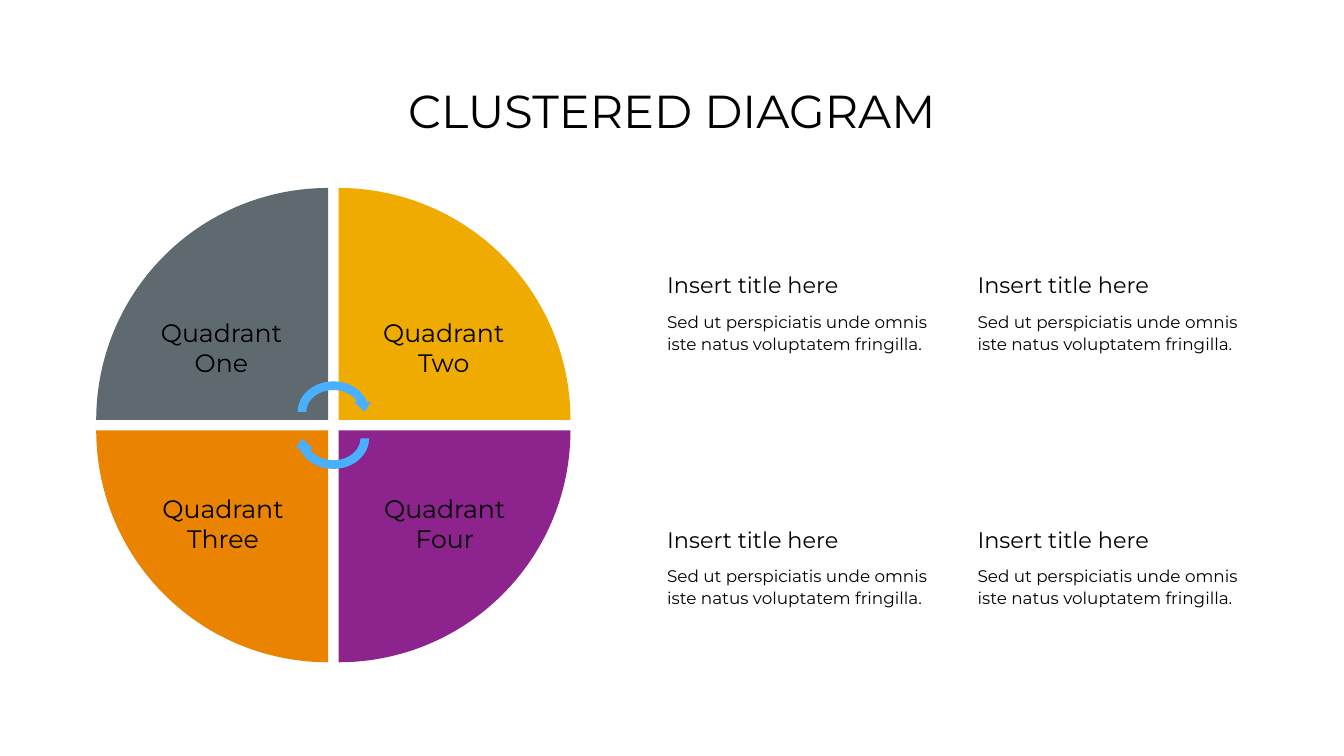
from pptx import Presentation, util as u
from pptx.dml.color import RGBColor
from pptx.enum import shapes, text

PX = 9144  # 100 px to the inch
FONT, BLACK, BLUE = "Montserrat", "000000", "49AFFF"
LEFT, CENTER = text.PP_ALIGN.LEFT, text.PP_ALIGN.CENTER
TOP, MIDDLE, BOTTOM = (text.MSO_ANCHOR.TOP, text.MSO_ANCHOR.MIDDLE,
                       text.MSO_ANCHOR.BOTTOM)

WEDGE, GAP = 460, 21
# column, row, rotation, colour, label, label offset in the wedge
QUADRANTS = [
    (0, 0, 0, "5E6970", "Quadrant\nOne", (117, 250)),
    (1, 0, 90, "F0AB00", "Quadrant\nTwo", (77, 250)),
    (1, 1, 180, "8D248D", "Quadrant\nFour", (79, 119)),
    (0, 1, 270, "E98300", "Quadrant\nThree", (120, 119)),
]
HEADING = "Insert title here"
BODY = "Sed ut perspiciatis unde omnis iste natus voluptatem fringilla."


def rgb(value):
    return RGBColor.from_string(value)


def add_filled(s, kind, x, y, w, h, color, rotation=0):
    sp = s.shapes.add_shape(kind, x * PX, y * PX, w * PX, h * PX)
    sp.rotation = rotation
    sp.shadow.inherit = False
    sp.fill.solid()
    sp.fill.fore_color.rgb = rgb(color)
    sp.line.fill.background()


def add_text(s, x, y, w, h, words, size, align=LEFT, anchor=TOP,
             spacing=1.0, wrap=True, grow=True):
    tf = s.shapes.add_textbox(x * PX, y * PX, w * PX, h * PX).text_frame
    tf.word_wrap = wrap
    tf.vertical_anchor = anchor
    if grow:
        tf.auto_size = text.MSO_AUTO_SIZE.SHAPE_TO_FIT_TEXT
    tf.text = words
    for p in tf.paragraphs:
        p.alignment = align
        p.line_spacing = spacing
        for r in p.runs:
            r.font.name, r.font.size = FONT, u.Pt(size)
            r.font.color.rgb = rgb(BLACK)


def add_wheel(s, x, y):
    """Four wedges around a pair of cycle arrows, with labels on top."""
    step = WEDGE + GAP
    for col, row, rotation, color, _, _ in QUADRANTS:
        add_filled(s, shapes.MSO_SHAPE.PIE_WEDGE, x + col * step,
                   y + row * step, WEDGE, WEDGE, color, rotation)
    for dy, rotation in ((375, 0), (428, 180)):
        add_filled(s, shapes.MSO_SHAPE.CIRCULAR_ARROW, x + 391, y + dy,
                   159, 138, BLUE, rotation)
    for col, row, _, _, label, (dx, dy) in QUADRANTS:
        add_text(s, x + col * step + dx, y + row * step + dy, 263, 131,
                 label, 36, CENTER, BOTTOM, wrap=False)


def add_note(s, x, y):
    add_text(s, x, y, 363, 64, HEADING, 32, wrap=False)
    add_text(s, x, y + 76, 563, 97, BODY, 24, spacing=1.1)


def add_notes(s, x, y):
    for col in range(2):
        for row in range(2):
            add_note(s, x + col * 616, y + row * 505)


def main():
    prs = Presentation()
    prs.slide_width, prs.slide_height = 2667 * PX, 1500 * PX
    s = prs.slides.add_slide(prs.slide_layouts[6])
    add_wheel(s, 191, 373)
    add_notes(s, 1314, 533)
    add_text(s, 183, 80, 2300, 290, "CLUSTERED DIAGRAM", 66, CENTER, MIDDLE,
             spacing=0.9, grow=False)
    prs.save("out.pptx")


if __name__ == "__main__":
    main()
